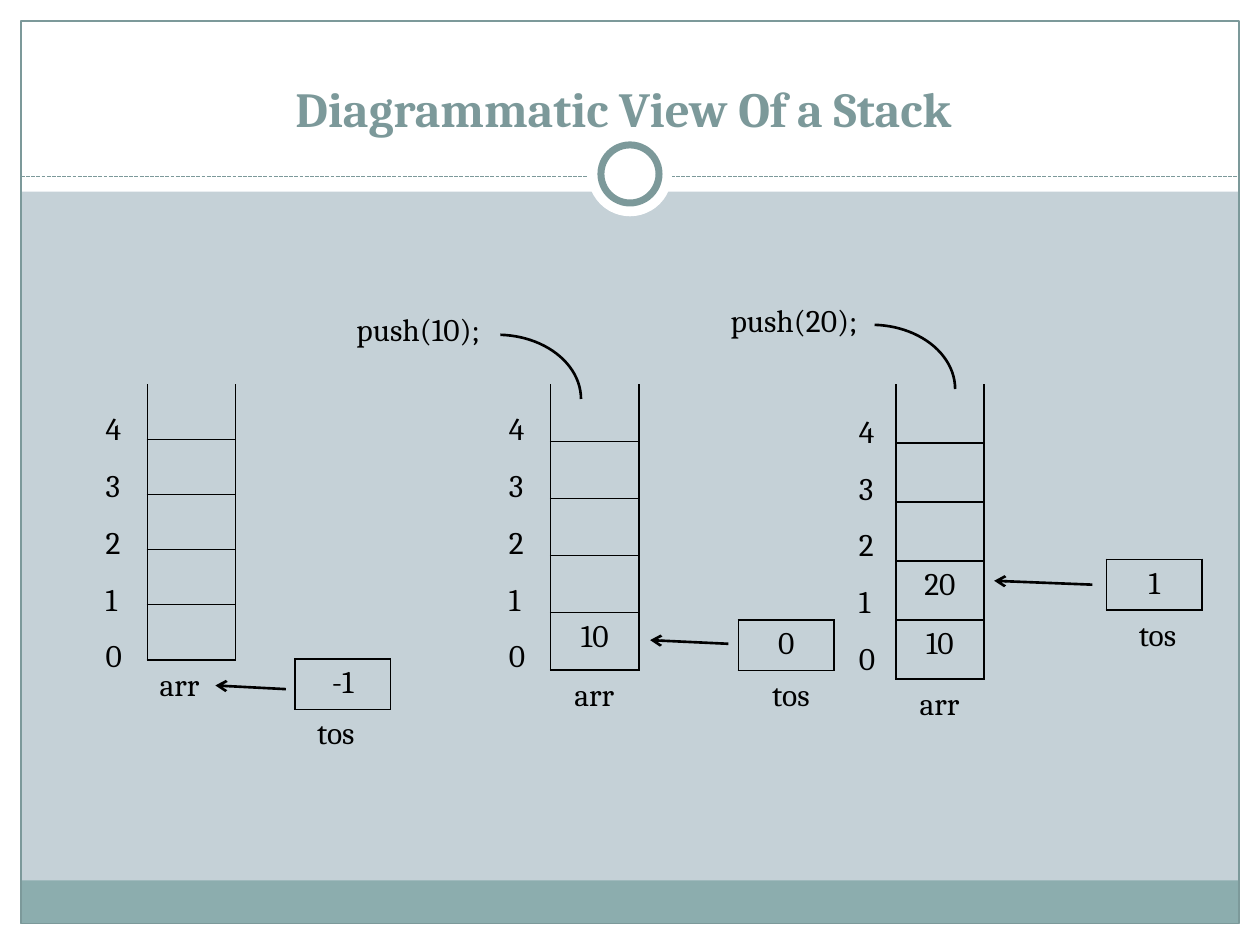
"""Build a slide that shows a stack before and after two push calls."""
from pptx import Presentation
from pptx.dml.color import RGBColor
from pptx.enum.dml import MSO_LINE_DASH_STYLE as Dash
from pptx.enum.shapes import MSO_CONNECTOR as Connector, MSO_SHAPE as Shape
from pptx.enum.text import MSO_ANCHOR as Anchor, MSO_AUTO_SIZE as AutoSize, PP_ALIGN as Align
from pptx.oxml.xmlchemy import OxmlElement
from pptx.util import Pt

BLACK = RGBColor(0x00, 0x00, 0x00)
WHITE = RGBColor(0xFF, 0xFF, 0xFF)
SLATE = RGBColor(0x7C, 0x99, 0x9A)
TEAL = RGBColor(0x8C, 0xAD, 0xAE)
MIST = RGBColor(0xC5, 0xD1, 0xD7)
FONT = "Cambria"
WIDTH, HEIGHT = 720, 540
STACK_TOP, CELL_WIDTH = 219.6, 50.4
TOS_WIDTH, TOS_HEIGHT = 54.7, 28.8
LABEL_SIZE = (38.9, 28.8)

TITLE = "Diagrammatic View Of a Stack"
INDEXES = ["4", "3", "2", "1", "0"]
FRAME = [
    (Shape.RECTANGLE, 0, 527.8, WIDTH, 12.2, WHITE, None),
    (Shape.RECTANGLE, 0, 0, WIDTH, 109.5, WHITE, None),
    (Shape.RECTANGLE, 0, 0, 12, HEIGHT, WHITE, None),
    (Shape.RECTANGLE, 708, 0, 12, HEIGHT, WHITE, None),
    (Shape.RECTANGLE, 11.8, 503, 695.8, 24.8, TEAL, None),
    (Shape.RECTANGLE, 12, 12, 696, 515.8, None, 0.75),
]
RINGS = [
    (Shape.OVAL, 336, 75.6, 48, 48, WHITE, None),
    (Shape.OVAL, 343.4, 82.8, 33.2, 33.2, WHITE, 4),
]
STACKS = [
    dict(left=84.2, row=31.5, values=["", "", "", "", ""], indexes=(53.3, 219.6), arr=84.2,
         tos="-1", tos_box=(168.5, 376.6), tos_label=(174.2, 403.9),
         arrow=(163.4, 393.8, 123.1, 391.7)),
    dict(left=314.7, row=32.65, values=["", "", "", "", "10"], indexes=(283.7, 219.6), arr=321.1,
         tos="0", tos_box=(421.9, 354.2), tos_label=(434.2, 382.3),
         arrow=(416.2, 367.9, 371.5, 365.8)),
    dict(left=511.9, row=33.7, values=["", "", "", "20", "10"], indexes=(483.8, 221), arr=518.4,
         tos="1", tos_box=(632.2, 319.7), tos_label=(643.7, 347.8),
         arrow=(624.2, 334.1, 568.1, 331.9)),
]
PUSHES = [
    ("push(10);", (196.6, 173.5), (236.2, 191.3)),
    ("push(20);", (410.4, 168.5), (450, 185.6)),
]


def points(*lengths):
    return [Pt(length) for length in lengths]


def style_font(font, size=18, color=BLACK, bold=False):
    font.name, font.size, font.bold = FONT, Pt(size), bold
    font.color.rgb = color


def add_shape(page, kind, left, top, width, height, fill, line):
    shape = page.shapes.add_shape(kind, *points(left, top, width, height))
    shape.shadow.inherit = False
    if fill is None:
        shape.fill.background()
    else:
        shape.fill.solid()
        shape.fill.fore_color.rgb = fill
    if line is None:
        shape.line.fill.background()
    else:
        shape.line.color.rgb = SLATE
        shape.line.width = Pt(line)
    return shape


def add_line(page, ends, color, width):
    line = page.shapes.add_connector(Connector.STRAIGHT, *points(*ends))
    line.line.color.rgb, line.line.width = color, Pt(width)
    line._element.spPr.append(OxmlElement("a:effectLst"))
    return line


def add_arrow(page, ends):
    arrow = add_line(page, ends, BLACK, 1.5)
    head = OxmlElement("a:tailEnd")
    head.set("type", "arrow")
    arrow.line._get_or_add_ln().append(head)


def add_label(page, lines, place, size=LABEL_SIZE, spacing=None):
    box = page.shapes.add_textbox(*points(*place, *size))
    frame = box.text_frame
    frame.word_wrap = False
    frame.auto_size = AutoSize.SHAPE_TO_FIT_TEXT
    frame.text = "\n".join(lines)
    for para in frame.paragraphs:
        para.line_spacing = spacing
        for span in para.runs:
            style_font(span.font)


def set_border(cell, side, visible):
    properties = cell._tc.get_or_add_tcPr()
    line = OxmlElement(f"a:ln{side}")
    line.set("w", str(Pt(1)))
    fill = OxmlElement("a:solidFill" if visible else "a:noFill")
    if visible:
        color = OxmlElement("a:srgbClr")
        color.set("val", str(BLACK))
        fill.append(color)
    line.append(fill)
    properties.append(line)


def add_cells(page, values, place, width, row_height, open_top=False):
    size = (width, row_height * len(values))
    table = page.shapes.add_table(len(values), 1, *points(*place, *size)).table
    table.first_row = table.horz_banding = False
    for index, value in enumerate(values):
        table.rows[index].height = Pt(row_height)
        cell = table.cell(index, 0)
        for side in "LRTB":
            set_border(cell, side, not (open_top and index == 0 and side == "T"))
        cell.fill.background()
        cell.text = value
        para = cell.text_frame.paragraphs[0]
        para.alignment = Align.CENTER
        style_font(para.font)
        for span in para.runs:
            style_font(span.font)


def add_stack(page, stack):
    left, row = stack["left"], stack["row"]
    add_cells(page, stack["values"], (left, STACK_TOP), CELL_WIDTH, row, open_top=True)
    add_label(page, INDEXES, stack["indexes"], (25.9, 167), 1.5)
    add_label(page, ["arr"], (stack["arr"], STACK_TOP + row * len(INDEXES) - 0.5))
    add_cells(page, [stack["tos"]], stack["tos_box"], TOS_WIDTH, TOS_HEIGHT)
    add_label(page, ["tos"], stack["tos_label"])
    add_arrow(page, stack["arrow"])


def add_push(page, text, place, arc_place):
    add_label(page, [text], place, (93, 28.8))
    arc = add_shape(page, Shape.ARC, *arc_place, 95.8, 73.4, None, 1.5)
    arc.line.color.rgb = BLACK
    arc.adjustments[0], arc.adjustments[1] = 163.76, 0


def add_title(page):
    title = page.shapes.title
    title.left, title.top, title.width, title.height = points(20.2, 22.3, 671.8, 59.8)
    frame = title.text_frame
    frame.text = TITLE
    frame.vertical_anchor = Anchor.BOTTOM
    para = frame.paragraphs[0]
    para.alignment = Align.CENTER
    style_font(para.runs[0].font, 28, SLATE, True)


def main():
    deck = Presentation()
    deck.slide_width, deck.slide_height = points(WIDTH, HEIGHT)
    page = deck.slides.add_slide(deck.slide_layouts[5])
    page.background.fill.solid()
    page.background.fill.fore_color.rgb = MIST
    for part in FRAME:
        add_shape(page, *part)
    divider = add_line(page, (12, 100.8, 708, 100.8), SLATE, 0.75)
    divider.line.dash_style = Dash.SQUARE_DOT
    for ring in RINGS:
        add_shape(page, *ring)
    add_title(page)
    tree = page.shapes._spTree
    tree.append(page.shapes.title._element)
    for stack in STACKS:
        add_stack(page, stack)
    for push in PUSHES:
        add_push(page, *push)
    deck.save("out.pptx")


if __name__ == "__main__":
    main()
